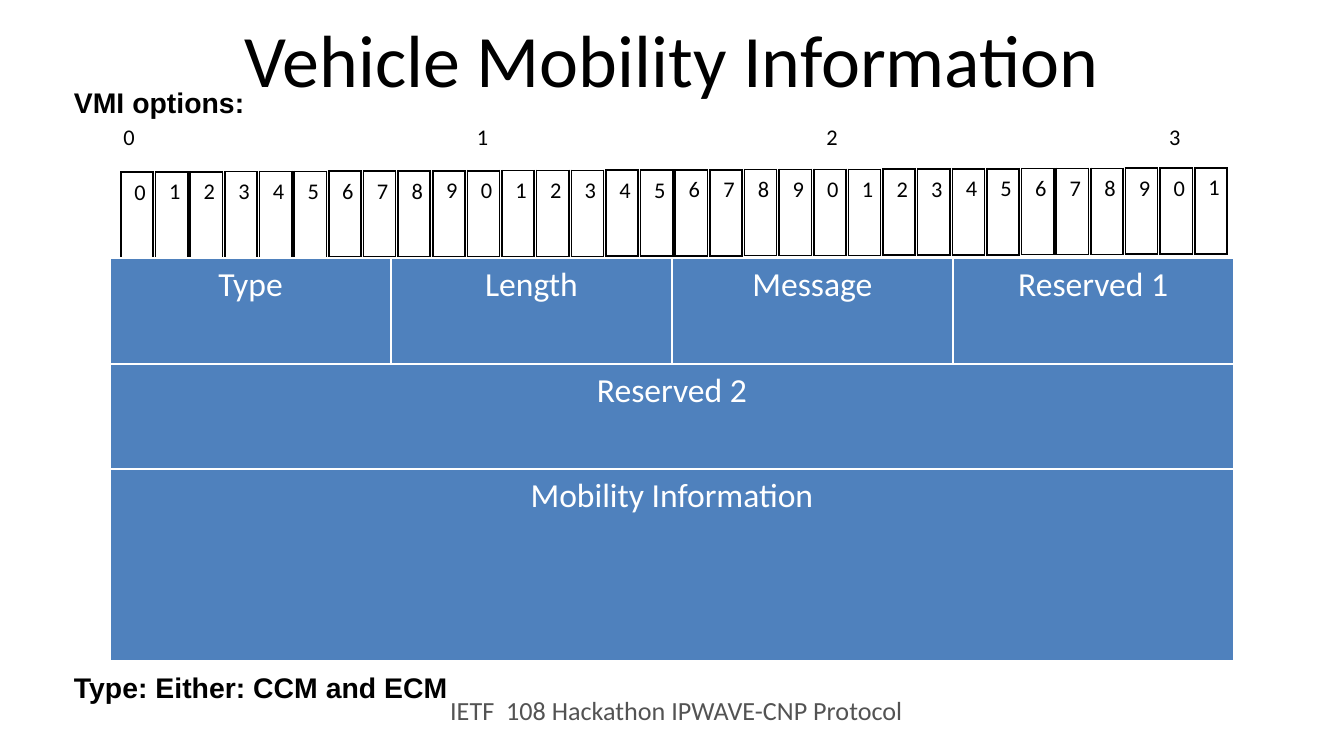
from dataclasses import dataclass

from lxml.etree import SubElement
from pptx import Presentation
from pptx.dml.color import RGBColor
from pptx.enum.text import MSO_ANCHOR, MSO_AUTO_SIZE as AutoSize, PP_ALIGN as Align
from pptx.oxml.ns import qn
from pptx.slide import Slide
from pptx.table import _Cell as Cell
from pptx.text.text import TextFrame, _Paragraph as Paragraph
from pptx.util import Inches, Pt

BLACK = RGBColor(0x00, 0x00, 0x00)
WHITE = RGBColor(0xFF, 0xFF, 0xFF)
BLUE = RGBColor(0x4F, 0x81, 0xBD)
GRAY = RGBColor(0x53, 0x53, 0x53)

BIT_COUNT = 32
FIRST_BIT_LEFT, LAST_BIT_LEFT = 0.9, 8.89
FIRST_BIT_TOP, LAST_BIT_TOP = 1.28, 1.25
BIT_WIDTH, BIT_HEIGHT = 0.23, 0.64
FIELD_LEFT, FIELD_WIDTH = 0.82, 8.36


@dataclass(frozen=True)
class Box:
    left: float
    top: float
    width: float
    height: float

    def lengths(self) -> list[Inches]:
        return [Inches(value) for value in (self.left, self.top, self.width, self.height)]


@dataclass(frozen=True)
class TextStyle:
    size: float
    color: RGBColor = BLACK
    font: str = "Calibri"
    bold: bool = False
    align: Align = Align.LEFT


@dataclass(frozen=True)
class CellStyle:
    text: TextStyle
    border: RGBColor
    bottom_width: float
    fill: RGBColor | None = None


@dataclass(frozen=True)
class FieldRow:
    top: float
    height: float
    names: tuple[str, ...]


DIGIT = TextStyle(12)
BIT_STYLE = CellStyle(DIGIT, BLACK, 1)
FIRST_BIT_STYLE = CellStyle(TextStyle(12, align=Align.CENTER), BLACK, 1)
FIELD_STYLE = CellStyle(TextStyle(18, WHITE, align=Align.CENTER), WHITE, 3, BLUE)
FIELD_ROWS = (
    FieldRow(1.92, 0.8, ("Type", "Length", "Message", "Reserved 1")),
    FieldRow(2.71, 0.79, ("Reserved 2",)),
    FieldRow(3.49, 1.44, ("Mobility Information",)),
)
DECADE_LEFTS = (0.82, 3.45, 6.05, 8.6)


def format_paragraph(paragraph: Paragraph, style: TextStyle) -> None:
    paragraph.alignment = style.align
    for run in paragraph.runs:
        run.font.name = style.font
        run.font.size = Pt(style.size)
        run.font.bold = style.bold
        run.font.color.rgb = style.color


def set_margins(text_frame: TextFrame, margin: float) -> None:
    text_frame.margin_left = text_frame.margin_right = Inches(margin)
    text_frame.margin_top = text_frame.margin_bottom = Inches(margin)


def place(shape, box: Box) -> None:
    shape.left, shape.top, shape.width, shape.height = box.lengths()


def add_label(slide: Slide, box: Box, text: str, style: TextStyle, wrap: bool) -> TextFrame:
    text_frame = slide.shapes.add_textbox(*box.lengths()).text_frame
    text_frame.word_wrap = wrap
    text_frame.auto_size = AutoSize.SHAPE_TO_FIT_TEXT
    text_frame.text = text
    format_paragraph(text_frame.paragraphs[0], style)
    return text_frame


def set_borders(cell: Cell, color: RGBColor, bottom_width: float) -> None:
    properties = cell._tc.get_or_add_tcPr()
    for side, width in (("L", 1), ("R", 1), ("T", 1), ("B", bottom_width)):
        line = SubElement(properties, qn(f"a:ln{side}"), w=str(Pt(width)))
        solid = SubElement(line, qn("a:solidFill"))
        SubElement(solid, qn("a:srgbClr"), val=str(color))


def add_row_table(slide: Slide, box: Box, texts: tuple[str, ...], style: CellStyle) -> None:
    table = slide.shapes.add_table(1, len(texts), *box.lengths()).table
    table.first_row = False
    table.horz_banding = False
    for cell, text in zip(table.iter_cells(), texts):
        cell.text = text
        format_paragraph(cell.text_frame.paragraphs[0], style.text)
        set_borders(cell, style.border, style.bottom_width)
        if style.fill is None:
            cell.fill.background()
        else:
            cell.fill.solid()
            cell.fill.fore_color.rgb = style.fill


def fill_title(slide: Slide) -> None:
    title = slide.shapes.title
    place(title, Box(0.5, 0.23, 9, 0.4))
    text_frame = title.text_frame
    text_frame.text = "Vehicle Mobility Information"
    text_frame.auto_size = AutoSize.NONE
    text_frame.vertical_anchor = MSO_ANCHOR.MIDDLE
    set_margins(text_frame, 0.05)
    format_paragraph(text_frame.paragraphs[0], TextStyle(39.6, align=Align.CENTER))


def fill_body(slide: Slide) -> None:
    body = slide.placeholders[1]
    place(body, Box(0.5, 0.63, 9, 4.61))
    text_frame = body.text_frame
    text_frame.text = "VMI options:\nType: Either: CCM and ECM"
    text_frame.auto_size = AutoSize.NONE
    set_margins(text_frame, 0.05)
    for paragraph, space_before in zip(text_frame.paragraphs, (5, 299)):
        format_paragraph(paragraph, TextStyle(15.2, font="Arial", bold=True))
        paragraph.line_spacing = 0.8
        paragraph.space_before = Pt(space_before)
        properties = paragraph._p.get_or_add_pPr()
        properties.set("marL", "0")
        properties.set("indent", "0")
        SubElement(properties, qn("a:buNone"))


def add_bits(slide: Slide) -> None:
    for bit in reversed(range(BIT_COUNT)):
        share = bit / (BIT_COUNT - 1)
        left = FIRST_BIT_LEFT + share * (LAST_BIT_LEFT - FIRST_BIT_LEFT)
        top = FIRST_BIT_TOP + share * (LAST_BIT_TOP - FIRST_BIT_TOP)
        style = BIT_STYLE if bit else FIRST_BIT_STYLE
        add_row_table(slide, Box(left, top, BIT_WIDTH, BIT_HEIGHT), (str(bit % 10),), style)


def main() -> None:
    presentation = Presentation()
    presentation.slide_width = Inches(10)
    presentation.slide_height = Inches(45 / 8)
    slide = presentation.slides.add_slide(presentation.slide_layouts[1])
    fill_title(slide)
    fill_body(slide)
    footer = add_label(slide, Box(3.3, 5.12, 3.53, 0.34),
                       "IETF  108 Hackathon IPWAVE-CNP Protocol", TextStyle(14, GRAY), False)
    set_margins(footer, 0.05)
    add_bits(slide)
    for row in FIELD_ROWS:
        add_row_table(slide, Box(FIELD_LEFT, row.top, FIELD_WIDTH, row.height),
                      row.names, FIELD_STYLE)
    for decade, left in enumerate(DECADE_LEFTS):
        add_label(slide, Box(left, 0.87, 0.26, 0.3), str(decade), DIGIT, True)
    presentation.save("out.pptx")


if __name__ == "__main__":
    main()
